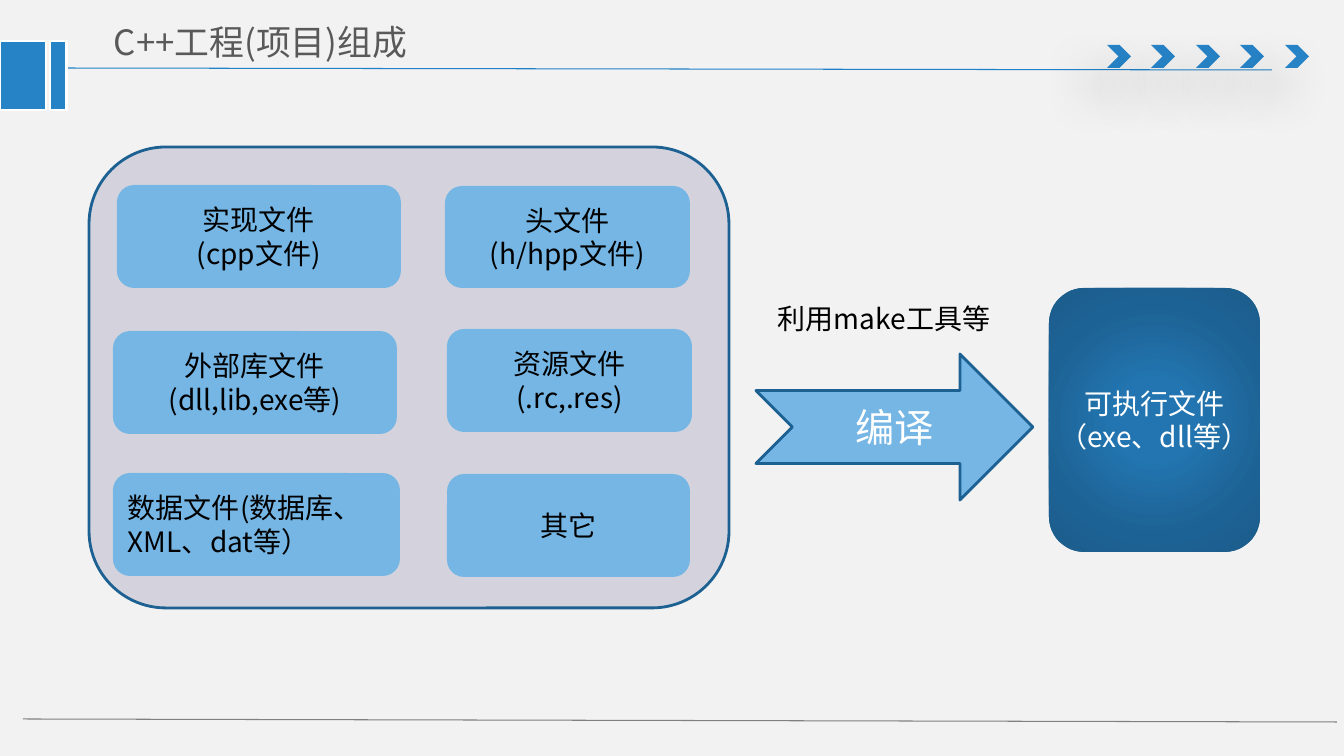
from dataclasses import dataclass

from lxml.etree import SubElement
from pptx import Presentation
from pptx.dml.color import RGBColor
from pptx.enum.shapes import MSO_CONNECTOR, MSO_SHAPE
from pptx.enum.text import MSO_ANCHOR, MSO_AUTO_SIZE, PP_ALIGN
from pptx.oxml import parse_xml
from pptx.oxml.ns import nsdecls, qn
from pptx.util import Emu, Pt

FONT = "Noto Sans CJK SC"
BRAND_BLUE, TILE_BLUE, OUTLINE_BLUE = "2683C6", "75B6E5", "1C6192"
WHITE, BLACK = "FFFFFF", "000000"
EXECUTABLE_STOPS = ((0, "2275B0"), (23, "2275B0"), (69, "1D6294"), (97, "1B5C8B"))


@dataclass(frozen=True)
class Box:
    left: int
    top: int
    width: int
    height: int


@dataclass(frozen=True)
class Rule:
    start: tuple[int, int]
    end: tuple[int, int]
    colour: str


@dataclass(frozen=True)
class Tile:
    box: Box
    text: str
    align: PP_ALIGN = PP_ALIGN.CENTER


RULES = (
    Rule((53, 68), (1272, 70), "2181C6"),
    Rule((23, 719), (1337, 722), "808080"),
)
HEADER_BLOCKS = (Box(0, 41, 46, 69), Box(50, 41, 17, 69))
TILES = (
    Tile(Box(117, 185, 284, 103), "实现文件\n(cpp文件)"),
    Tile(Box(445, 186, 245, 102), "头文件\n(h/hpp文件)"),
    Tile(Box(113, 331, 284, 103), "外部库文件\n(dll,lib,exe等)"),
    Tile(Box(447, 329, 245, 103), "资源文件\n(.rc,.res)"),
    Tile(Box(113, 473, 287, 103), "数据文件(数据库、\nXML、dat等）", PP_ALIGN.LEFT),
    Tile(Box(447, 474, 243, 103), "其它"),
)


def px(length: int) -> Emu:
    return Emu(round(length * 914400 / 100.8))


def rgb(colour: str) -> RGBColor:
    return RGBColor.from_string(colour)


def place(box: Box) -> tuple[Emu, ...]:
    return px(box.left), px(box.top), px(box.width), px(box.height)


def add_shape(slide, kind: MSO_SHAPE, box: Box, fill: str, line: str | None = None):
    shape = slide.shapes.add_shape(kind, *place(box))
    shape.shadow.inherit = False
    shape.fill.solid()
    shape.fill.fore_color.rgb = rgb(fill)
    if line:
        shape.line.color.rgb = rgb(line)
        shape.line.width = Pt(2)
    else:
        shape.line.fill.background()
    return shape


def write(shape, text: str, size: float, colour: str, align: PP_ALIGN, **frame_formats) -> None:
    frame = shape.text_frame
    for name, value in frame_formats.items():
        setattr(frame, name, value)
    paragraph = frame.paragraphs[0]
    paragraph.text = text
    paragraph.alignment = align
    for run in paragraph.runs:
        for name, value in {"size": Pt(size), "name": FONT}.items():
            setattr(run.font, name, value)
        run.font.color.rgb = rgb(colour)
        SubElement(run._r.get_or_add_rPr(), qn("a:ea"), typeface=FONT)


def add_rule(slide, rule: Rule) -> None:
    ends = [px(length) for length in (*rule.start, *rule.end)]
    connector = slide.shapes.add_connector(MSO_CONNECTOR.STRAIGHT, *ends)
    connector.line.color.rgb = rgb(rule.colour)
    connector.line.width = Pt(0.75)
    SubElement(connector._element.spPr, qn("a:effectLst"))


def add_soft_shadow(shape) -> None:
    effects = shape._element.spPr.find(qn("a:effectLst"))
    effects.append(parse_xml(
        f'<a:outerShdw {nsdecls("a")} blurRad="{Pt(36)}" dist="{Pt(24)}" dir="{130 * 60000}" '
        f'rotWithShape="0"><a:srgbClr val="{BLACK}"><a:alpha val="38000"/></a:srgbClr></a:outerShdw>'
    ))


def set_radial_fill(shape, stops: tuple[tuple[int, str], ...]) -> None:
    stop_xml = "".join(
        f'<a:gs pos="{position * 1000}"><a:srgbClr val="{colour}"/></a:gs>'
        for position, colour in stops
    )
    gradient = parse_xml(
        f'<a:gradFill {nsdecls("a")} rotWithShape="1"><a:gsLst>{stop_xml}</a:gsLst>'
        '<a:path path="circle"><a:fillToRect l="50000" t="50000" r="50000" b="50000"/></a:path>'
        "</a:gradFill>"
    )
    properties = shape._element.spPr
    properties.replace(properties.find(qn("a:solidFill")), gradient)


def draw_frame(slide) -> None:
    # Rules, chevrons and header blocks
    for rule in RULES:
        add_rule(slide, rule)
    for index in range(5):
        box = Box(1107 + index * 89 // 2, 45, 24, 23)
        add_soft_shadow(add_shape(slide, MSO_SHAPE.CHEVRON, box, BRAND_BLUE))
    for box in HEADER_BLOCKS:
        add_shape(slide, MSO_SHAPE.RECTANGLE, box, BRAND_BLUE, WHITE)

    # Title
    title = slide.shapes.add_textbox(*place(Box(100, 14, 467, 55)))
    write(title, "C++工程(项目)组成", 24.9, "595959", PP_ALIGN.LEFT,
          word_wrap=True, vertical_anchor=MSO_ANCHOR.MIDDLE,
          margin_left=px(14), margin_right=px(14), margin_top=px(7), margin_bottom=px(7))


def draw_build(slide) -> None:
    # Project files
    add_shape(slide, MSO_SHAPE.ROUNDED_RECTANGLE, Box(89, 147, 640, 461), "D4D3DD", OUTLINE_BLUE)
    middle = MSO_ANCHOR.MIDDLE
    for tile in TILES:
        shape = add_shape(slide, MSO_SHAPE.ROUNDED_RECTANGLE, tile.box, TILE_BLUE)
        write(shape, tile.text, 20, BLACK, tile.align, word_wrap=False, vertical_anchor=middle)

    # Compile step
    arrow = add_shape(slide, MSO_SHAPE.NOTCHED_RIGHT_ARROW, Box(756, 354, 277, 146),
                      TILE_BLUE, OUTLINE_BLUE)
    write(arrow, "编译", 28, WHITE, PP_ALIGN.CENTER, word_wrap=True, vertical_anchor=middle)
    label = slide.shapes.add_textbox(*place(Box(768, 297, 269, 44)))
    write(label, "利用make工具等", 20, BLACK, PP_ALIGN.LEFT,
          word_wrap=True, auto_size=MSO_AUTO_SIZE.SHAPE_TO_FIT_TEXT)

    # Executable
    executable = add_shape(slide, MSO_SHAPE.ROUNDED_RECTANGLE, Box(1049, 288, 211, 264), BRAND_BLUE)
    set_radial_fill(executable, EXECUTABLE_STOPS)
    write(executable, "可执行文件\n（exe、dll等）", 20, WHITE, PP_ALIGN.CENTER,
          word_wrap=False, vertical_anchor=middle)


def main() -> None:
    presentation = Presentation()
    presentation.slide_width, presentation.slide_height = px(1344), px(756)
    slide = presentation.slides.add_slide(presentation.slide_layouts[6])
    slide.background.fill.solid()
    slide.background.fill.fore_color.rgb = rgb("F2F2F2")
    draw_frame(slide)
    draw_build(slide)
    presentation.save("out.pptx")


if __name__ == "__main__":
    main()
